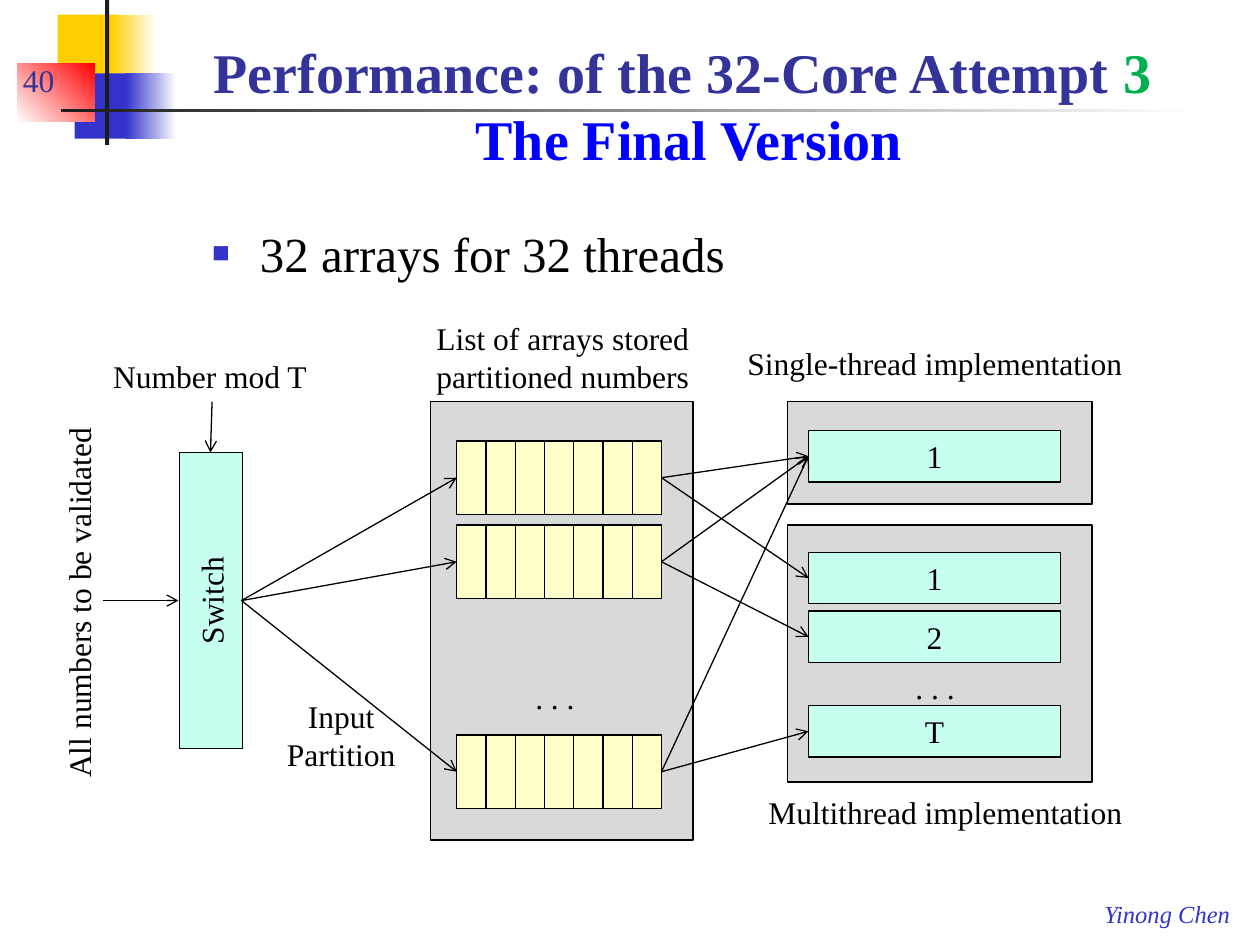
"""Build the slide on the 32-core performance attempt, on a 120 by 90 grid."""
from dataclasses import dataclass
from typing import NamedTuple, Optional

from lxml import etree
from pptx import Presentation
from pptx import util as u
from pptx.dml.color import RGBColor
from pptx.enum import shapes as sh, text as tx
from pptx.oxml.ns import qn


@dataclass(frozen=True)
class Theme:
    """Colours, font and type sizes."""
    font: str = "Times New Roman"
    ink: str = "000000"
    white: str = "FFFFFF"
    dark: str = "1C1C1C"
    gold: str = "FFCF01"
    blue: str = "3333CC"
    red: str = "FF0000"
    navy: str = "333399"
    green: str = "00B050"
    bright: str = "0000FF"
    gray: str = "D9D9D9"
    mint: str = "C7FFF0"
    cream: str = "FFFFCC"
    head: int = 32
    lead: int = 28
    size: int = 18
    small: int = 14
    edge: float = 0.75


class Box(NamedTuple):
    """A place in grid columns and rows."""
    x: float
    y: float
    w: float
    h: float


class Deco(NamedTuple):
    """A plain or fading block of the header."""
    box: Box
    start: str
    end: Optional[str] = None
    angle: int = 0


class Label(NamedTuple):
    """A free caption beside the diagram."""
    text: str
    box: Box
    center: bool = False
    wrap: bool = False
    turn: int = 0


T = Theme()
COLS, ROWS = 120, 90
CELLS = 7
LEFT, RIGHT = 43.5, 63
BANDS = (42, 50, 70)
DEEP = 7
CORE_X, CORE_W, CORE_H = 77, 24, 4.9
CORES = (("1", 41), ("1", 52.6), ("2", 58.2), ("T", 67.2))
HUB = (23, 57.2)
LINE = 4.8
DECOS = (
    Deco(Box(5.5, 1.4, 5.8, 6.2), T.gold),
    Deco(Box(10.6, 1.4, 4.3, 6.2), T.gold, T.white),
    Deco(Box(7.1, 7, 5.5, 6.2), T.blue),
    Deco(Box(12, 7, 4.8, 6.2), T.blue, T.white),
    Deco(Box(1.65, 6, 7.4, 5.6), T.white, T.red, 45),
    Deco(Box(10, 0, 0.4, 13.8), T.dark),
    Deco(Box(5.8, 10.35, 108, 0.36), T.dark, T.white),
)
PANELS = (Box(75, 50, 29, 24.5), Box(41, 38.25, 25, 41.75),
          Box(75, 38.25, 29, 9.75))
LABELS = (
    Label("All numbers to be validated", Box(-10.56, 54.8, 36.1, LINE), turn=270),
    Label("List of arrays stored\npartitioned numbers",
          Box(40.2, 29.8, 26.8, 8.5), center=True),
    Label("Multithread implementation", Box(72, 74.9, 36.5, LINE)),
    Label("Number mod T", Box(9.6, 33.4, 21, LINE)),
    Label("Input Partition", Box(26, 65.8, 13, 8.5), center=True, wrap=True),
    Label(". . .", Box(49.8, 64, 6.2, LINE)),
    Label(". . .", Box(86, 63, 6.2, LINE)),
    Label("Single-thread implementation", Box(70, 32.2, 38.5, LINE)),
)

deck = Presentation()
deck.slide_width, deck.slide_height = u.Inches(10), u.Inches(7.5)
slide = deck.slides.add_slide(deck.slide_layouts[1])
STEP_X, STEP_Y = deck.slide_width / COLS, deck.slide_height / ROWS


def scale(*nums: float) -> list[int]:
    """Turn grid columns and rows, in turn, into lengths."""
    return [int(n * (STEP_Y if i % 2 else STEP_X)) for i, n in enumerate(nums)]


def place(item, box: Box) -> None:
    """Move an item to its box."""
    item.left, item.top, item.width, item.height = scale(*box)


def style(font, size: float, color: str, bold=False, italic=False) -> None:
    """Set the looks of a font."""
    font.name, font.size = T.font, u.Pt(size)
    font.bold, font.italic = bold, italic
    font.color.rgb = RGBColor.from_string(color)


def block(box: Box, fill: str, word: str = "", turn: int = 0):
    """Draw an outlined block with an optional centred word."""
    item = slide.shapes.add_shape(sh.MSO_SHAPE.RECTANGLE, *scale(*box))
    item.shadow.inherit = False
    item.rotation = turn
    item.fill.solid()
    item.fill.fore_color.rgb = RGBColor.from_string(fill)
    item.line.color.rgb = RGBColor.from_string(T.ink)
    item.line.width = u.Pt(T.edge)
    if word:
        para = item.text_frame.paragraphs[0]
        para.text, para.alignment = word, tx.PP_ALIGN.CENTER
        style(para.font, T.size, T.ink)
    return item


def adorn(deco: Deco) -> None:
    """Draw one header block without an outline."""
    item = block(deco.box, deco.start)
    item.line.fill.background()
    if deco.end:
        item.fill.gradient()
        item.fill.gradient_angle = deco.angle
        for stop, color in zip(item.fill.gradient_stops, (deco.start, deco.end)):
            stop.color.rgb = RGBColor.from_string(color)


def write(label: Label, size=T.size, color=T.ink, italic=False):
    """Add a caption and return its frame."""
    item = slide.shapes.add_textbox(*scale(*label.box))
    item.rotation = label.turn
    frame = item.text_frame
    frame.text, frame.word_wrap = label.text, label.wrap
    for para in frame.paragraphs:
        if label.center:
            para.alignment = tx.PP_ALIGN.CENTER
        style(para.font, size, color, italic=italic)
    return frame


def arrow(start: tuple[float, float], end: tuple[float, float]) -> None:
    """Draw a thin line with an open arrowhead at its end."""
    item = slide.shapes.add_connector(sh.MSO_CONNECTOR.STRAIGHT, *scale(*start, *end))
    item.line.color.rgb = RGBColor.from_string(T.ink)
    item.line.width = u.Pt(T.edge)
    etree.SubElement(item.line._get_or_add_ln(), qn("a:tailEnd"), type="arrow")
    etree.SubElement(item._element.spPr, qn("a:effectLst"))


def title() -> None:
    """Fill the title placeholder."""
    item = slide.shapes.title
    place(item, Box(15, 2, 100, 15))
    frame = item.text_frame
    frame.auto_size, frame.word_wrap = tx.MSO_AUTO_SIZE.NONE, True
    frame.vertical_anchor = tx.MSO_ANCHOR.BOTTOM
    para = frame.paragraphs[0]
    para.alignment = tx.PP_ALIGN.CENTER
    style(para.font, T.head, T.navy, bold=True)
    parts = (("Performance: of the 32-Core Attempt ", T.navy), ("3", T.green),
             (" The Final Version", T.bright))
    for word, color in parts:
        if color == T.bright:
            para.add_line_break()
        run = para.add_run()
        run.text = word
        style(run.font, T.head, color, bold=True)


def body() -> None:
    """Fill the list placeholder with its square bullet."""
    item = slide.placeholders[1]
    place(item, Box(19, 20.64, 98.5, 8.4))
    item.text_frame.auto_size = tx.MSO_AUTO_SIZE.NONE
    para = item.text_frame.paragraphs[0]
    para.text, para.space_before = "32 arrays for 32 threads", u.Pt(0)
    props = para._p.get_or_add_pPr()
    props.set("marL", str(u.Inches(0.38)))
    props.set("indent", str(-u.Inches(0.38)))
    tint = etree.SubElement(props, qn("a:buClr"))
    etree.SubElement(tint, qn("a:srgbClr"), val=T.blue)
    etree.SubElement(props, qn("a:buSzPct"), val="60000")
    etree.SubElement(props, qn("a:buFont"), typeface=T.font)
    etree.SubElement(props, qn("a:buChar"), char="■")
    style(para.font, T.lead, T.ink)


def diagram() -> None:
    """Draw the panels, arrays, cores, captions and arrows."""
    for panel in PANELS:
        block(panel, T.gray)
    wide = (RIGHT - LEFT) / CELLS
    for band in BANDS:
        for col in range(CELLS):
            block(Box(LEFT + col * wide, band, wide, DEEP), T.cream)
    for word, row in CORES:
        block(Box(CORE_X, row, CORE_W, CORE_H), T.mint, word)
    block(Box(6, 54.2, 28.2, 6), T.mint, "Switch", 270)
    for label in LABELS:
        write(label)
    single, *multi = [(CORE_X, row + CORE_H / 2) for _, row in CORES]
    for band, core in zip(BANDS, multi):
        mid = band + DEEP / 2
        arrow(HUB, (LEFT, mid))
        arrow((RIGHT, mid), core)
        arrow((RIGHT, mid), single)
    arrow((9.85, HUB[1]), (17, HUB[1]))
    arrow((20.2, 38.25), (20.05, 43.1))


for deco in DECOS:
    adorn(deco)
title()
body()
write(Label("40", Box(1, 4, 10.2, 6), wrap=True),
      color=T.navy).vertical_anchor = tx.MSO_ANCHOR.BOTTOM
write(Label("Yinong Chen", Box(104, 85, 14.4, 4.1)), T.small, T.blue, True)
diagram()
deck.save("out.pptx")
